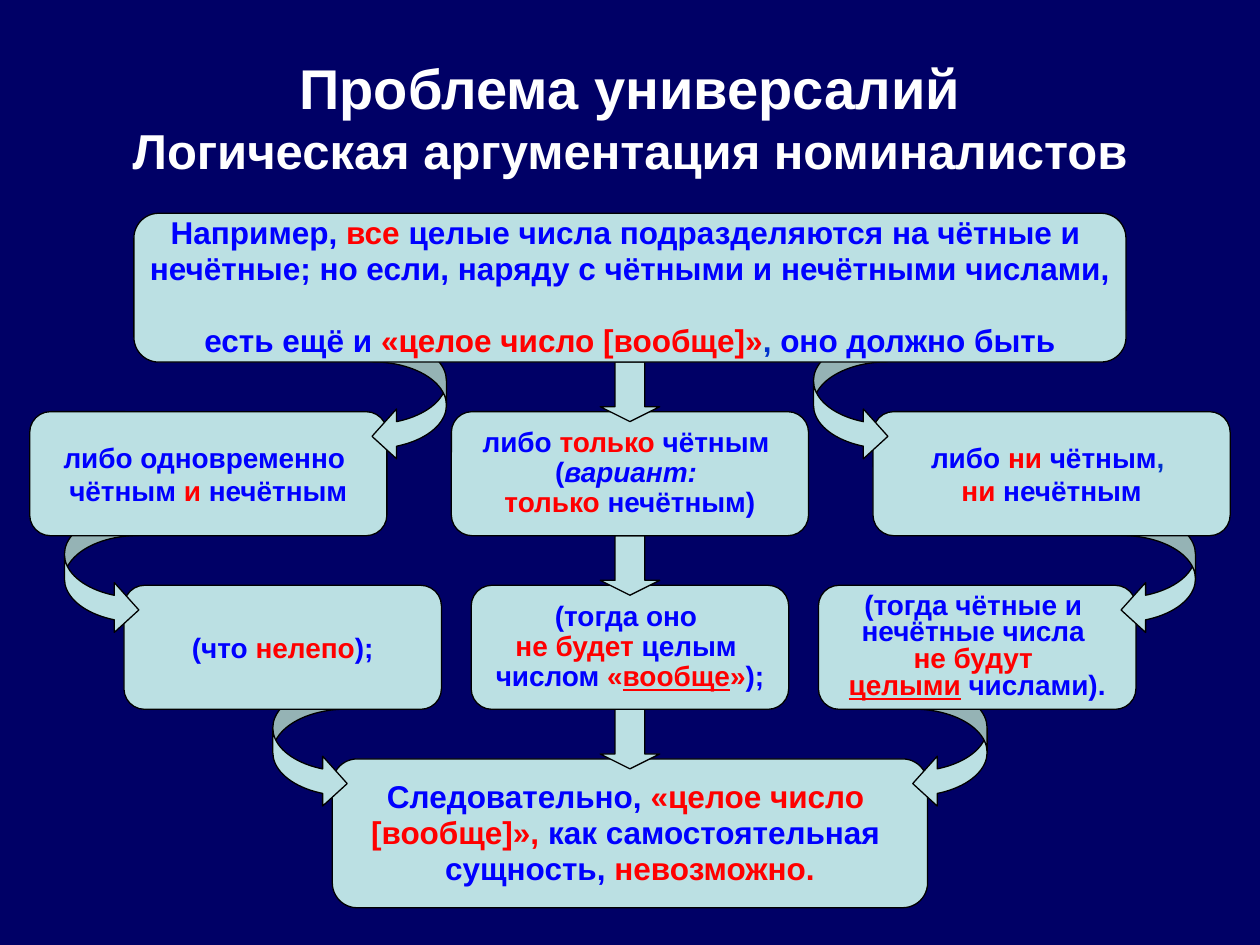
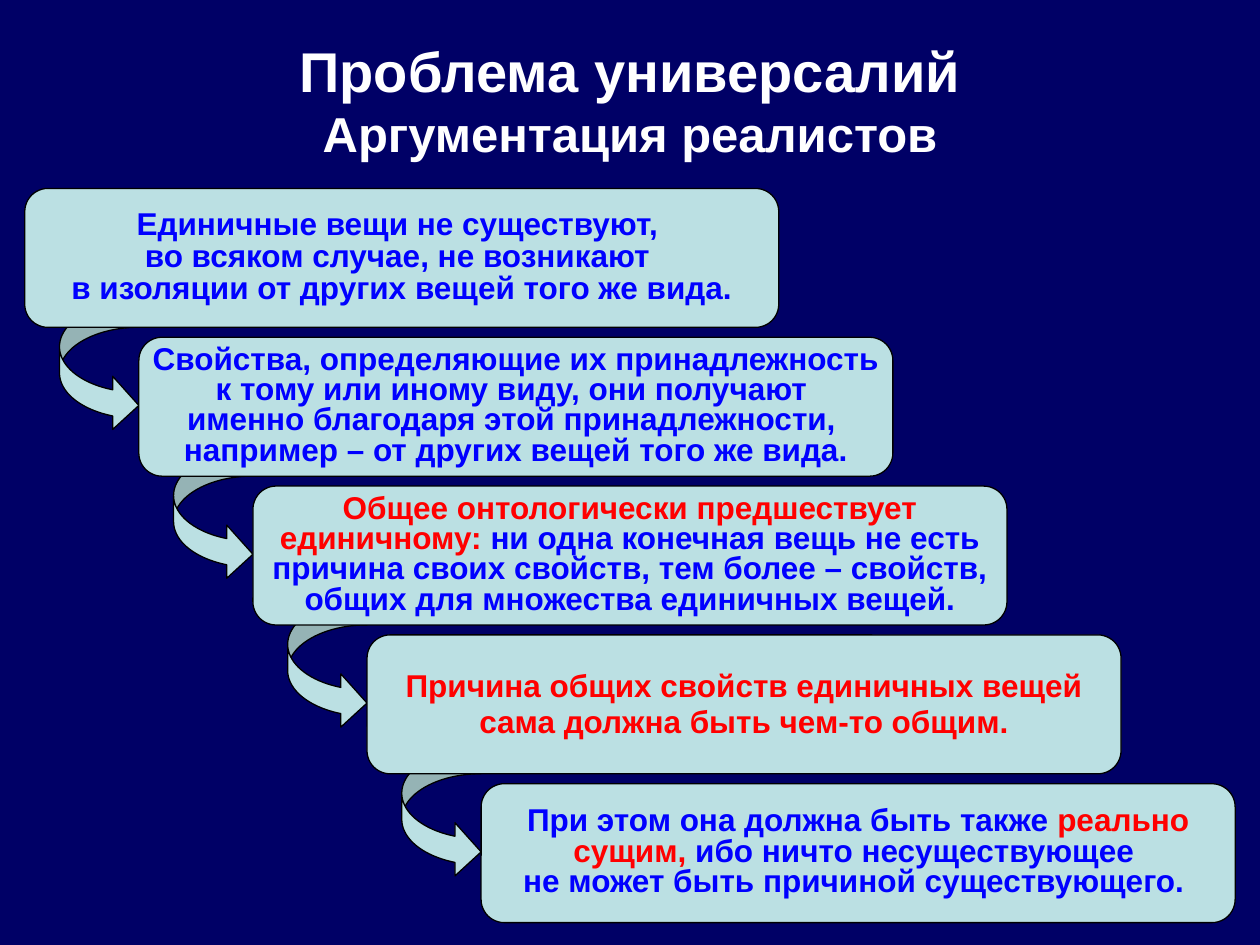
from copy import deepcopy
from dataclasses import dataclass

from pptx import Presentation
from pptx import util as u
from pptx.dml import color
from pptx.enum import shapes, text


@dataclass(frozen=True)
class Theme:
    font: str = "Arial"
    night: str = "000066"
    panel: str = "BBE0E3"
    outline: str = "000000"
    heading: str = "FFFFFF"
    plain: str = "0000FF"
    accent: str = "FF0000"
    comma: str = "0033CC"
    heading_size: int = 32
    subheading_size: int = 28
    thesis_size: int = 18
    option_size: int = 16
    line_width: float = 0.75


THEME = Theme()
SLIDE_WIDTH = 25.4
CURVE_BEND = (0.33, 0.67, 0.33)
KIND = shapes.MSO_SHAPE


def set_formats(target, formats):
    for name, value in formats.items():
        setattr(target, name, value)


def rgb(code):
    return color.RGBColor.from_string(code)


def red(words, **formats):
    return words, THEME.accent, formats


def italic(words):
    return words, THEME.plain, {"italic": True}


def dark(words):
    return words, THEME.comma, {}


def add_words(paragraph, words, size, ink, formats):
    for index, line in enumerate(words.split("\n")):
        if index:
            paragraph.add_line_break()
            line_break = paragraph._p[-1]
            line_break.append(deepcopy(previous._r.rPr))
        previous = paragraph.add_run()
        previous.text = line
        set_formats(previous.font, {"name": THEME.font, "size": u.Pt(size), "bold": True, **formats})
        previous.font.color.rgb = rgb(ink)
        if not line:
            paragraph._p.remove(previous._r)


def add_figure(slide, kind, left, top, width, height, bends=()):
    figure = slide.shapes.add_shape(kind, *map(u.Cm, (left, top, width, height)))
    figure.shadow.inherit = False
    figure.fill.solid()
    figure.fill.fore_color.rgb = rgb(THEME.panel)
    figure.line.color.rgb = rgb(THEME.outline)
    figure.line.width = u.Pt(THEME.line_width)
    for index, bend in enumerate(bends):
        figure.adjustments[index] = bend
    return figure


def add_statement(slide, place, parts, size, spacing=1.0, inset=0.25):
    statement = add_figure(slide, KIND.ROUNDED_RECTANGLE, *place)
    set_formats(statement.text_frame, {
        "word_wrap": True, "vertical_anchor": text.MSO_ANCHOR.MIDDLE,
        "margin_left": u.Cm(inset), "margin_right": u.Cm(inset),
    })
    paragraph = statement.text_frame.paragraphs[0]
    set_formats(paragraph, {"alignment": text.PP_ALIGN.CENTER, "line_spacing": spacing})
    for part in parts:
        words, ink, formats = (part, THEME.plain, {}) if isinstance(part, str) else part
        add_words(paragraph, words, size, ink, formats)


def add_row(slide, left, top, width, pitch, options):
    for index, (spacing, parts) in enumerate(options):
        place = (left + index * pitch, top, width, 2.5)
        add_statement(slide, place, parts, THEME.option_size, spacing)


def add_descent(slide, row_top, left, left_kind, right_kind):
    width = 1.5
    for kind, edge in ((left_kind, left), (right_kind, SLIDE_WIDTH - left - width)):
        add_figure(slide, kind, edge, row_top - 1.5, width, 2.5, CURVE_BEND)
    side = 1.2
    add_figure(slide, KIND.DOWN_ARROW, (SLIDE_WIDTH - side) / 2, row_top - 1, side, side, (0.5, 0.25))


def add_titled_slide(deck, subheading, height):
    slide = deck.slides.add_slide(deck.slide_layouts[5])
    title = slide.shapes.title
    set_formats(title, {"left": u.Cm(1.27), "top": u.Cm(0.76), "width": u.Cm(22.86), "height": u.Cm(height)})
    set_formats(title.text_frame, {
        "word_wrap": True, "auto_size": text.MSO_AUTO_SIZE.NONE,
        "vertical_anchor": text.MSO_ANCHOR.MIDDLE,
    })
    paragraph = title.text_frame.paragraphs[0]
    paragraph.alignment = text.PP_ALIGN.CENTER
    add_words(paragraph, "Проблема универсалий\n", THEME.heading_size, THEME.heading, {})
    add_words(paragraph, subheading, THEME.subheading_size, THEME.heading, {})
    return slide


def build_nominalists(deck):
    slide = add_titled_slide(deck, "Логическая аргументация номиналистов", 3.17)
    premise_top, options_top, results_top, conclusion_top = 4.3, 8.3, 11.8, 15.3
    to_left, to_right = KIND.CURVED_LEFT_ARROW, KIND.CURVED_RIGHT_ARROW

    add_statement(slide, (6.7, conclusion_top, 12, 3), [
        "Следовательно, ", red("«целое число \n[вообще]», "),
        "как самостоятельная \nсущность, ", red("невозможно."),
    ], THEME.thesis_size, 0.95)
    add_descent(slide, conclusion_top, 5.5, to_right, to_left)

    add_row(slide, 2.5, results_top, 6.4, 7, [
        (1.0, ["(что ", red("нелепо"), ");"]),
        (0.9, ["(тогда оно \n", red("не будет "), "целым \nчислом", red(" «"),
               red("вообще", underline=True), red("»"), ");"]),
        (0.8, ["(тогда чётные и \nнечётные числа \n", red("не будут \n"),
               red("целыми", underline=True), red(" "), "числами)."]),
    ])
    add_descent(slide, results_top, 1.3, to_right, to_left)

    add_row(slide, 0.6, options_top, 7.2, 8.5, [
        (1.0, ["либо одновременно \nчётным ", red("и "), "нечётным"]),
        (0.9, ["либо ", red("только "), "чётным \n(", italic("вариант: \n"),
               red("только "), "нечётным)"]),
        (1.0, ["либо ", red("ни "), "чётным", dark(", \n"), red("ни "), "нечётным"]),
    ])
    add_descent(slide, options_top, 7.5, to_left, to_right)

    add_statement(slide, (2.7, premise_top, 20, 3), [
        "Например, ", red("все "),
        "целые числа подразделяются на чётные и \n"
        "нечётные; но если, наряду с чётными и нечётными числами, \nесть ещё и ",
        red("«целое число [вообще]»"), dark(", "), "оно должно быть",
    ], THEME.thesis_size, 0.95, 0.1)


def build_realists(deck):
    slide = add_titled_slide(deck, "Аргументация реалистов", 2.5)
    steps = [
        (0.85, 0.25, ["Единичные вещи не существуют, \nво всяком случае, не возникают \n"
                      "в изоляции от других вещей того же вида."]),
        (0.8, 0.1, ["Свойства, определяющие их принадлежность к тому или иному виду, они получают \n"
                    "именно благодаря этой принадлежности, \n"
                    "например – от других вещей того же вида."]),
        (0.8, 0.2, [red("Общее онтологически предшествует единичному:"),
                    " ни одна конечная вещь не есть причина своих свойств, "
                    "тем более – свойств, общих для множества единичных вещей."]),
        (0.95, 0.25, [red("Причина общих свойств единичных вещей сама должна быть чем-то общим.")]),
        (0.8, 0.25, ["При этом она должна быть также ", red("реально сущим,"),
                     " ибо ничто несуществующее \nне может быть причиной существующего. "]),
    ]
    shift, drop = 2.3, 3
    for index in range(len(steps) - 1):
        add_figure(slide, KIND.CURVED_RIGHT_ARROW, 1.2 + index * shift, 6.07 + index * drop,
                   1.6, 2.64, CURVE_BEND)
    for index, (spacing, inset, parts) in enumerate(steps):
        place = (0.5 + index * shift, 3.8 + index * drop, 15.2, 2.8)
        add_statement(slide, place, parts, THEME.thesis_size, spacing, inset)


def main():
    deck = Presentation()
    set_formats(deck, {"slide_width": u.Cm(SLIDE_WIDTH), "slide_height": u.Cm(19.05)})
    backdrop = deck.slide_master.background.fill
    backdrop.solid()
    backdrop.fore_color.rgb = rgb(THEME.night)
    build_nominalists(deck)
    build_realists(deck)
    deck.save("out.pptx")


if __name__ == "__main__":
    main()
